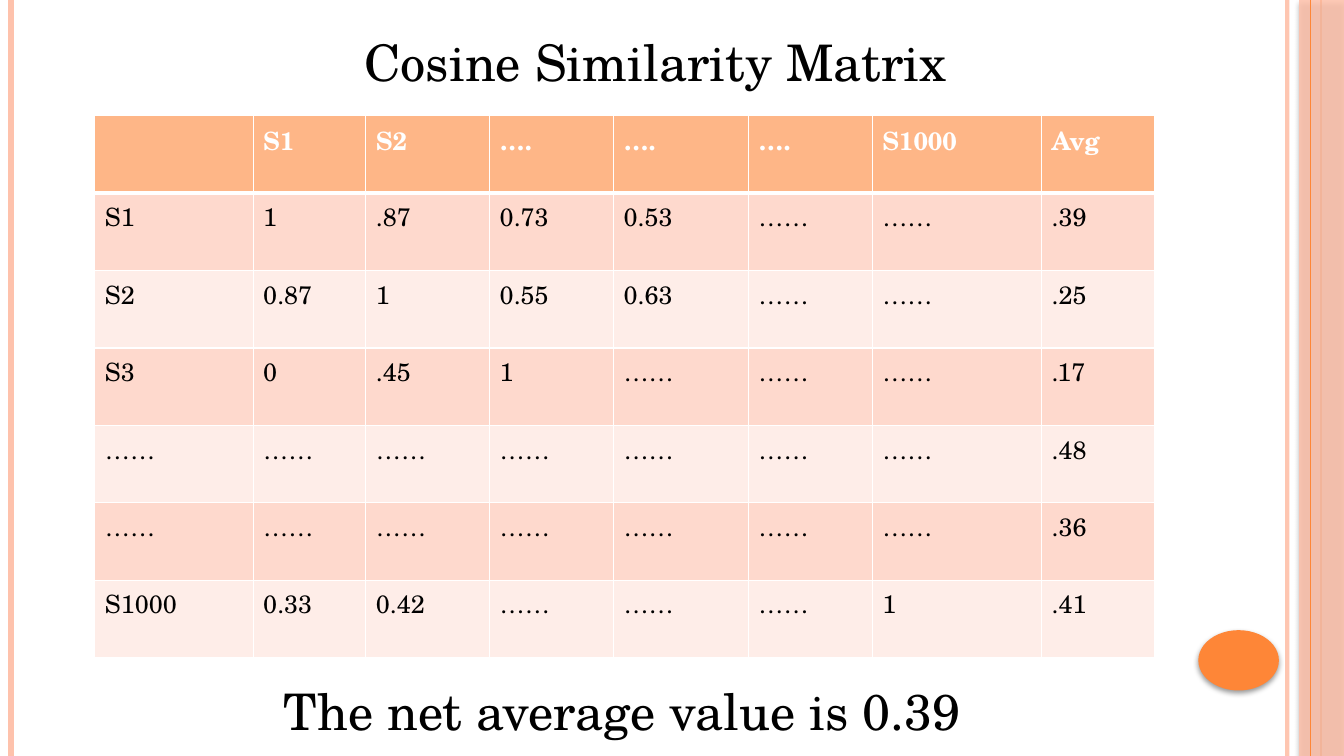
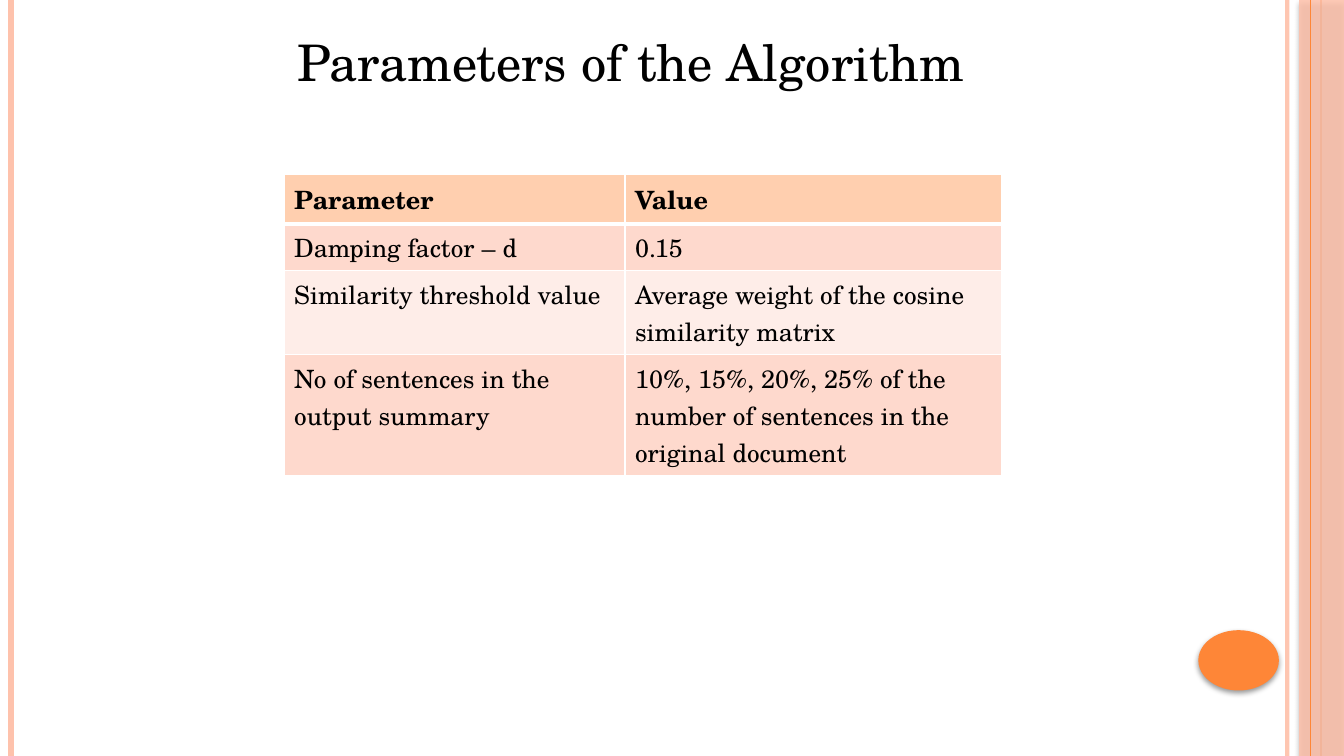
"""Build two slides on cosine similarity and the parameters of the algorithm."""
from lxml import etree
from pptx import Presentation
from pptx.dml.color import RGBColor
from pptx.enum.shapes import MSO_CONNECTOR, MSO_SHAPE
from pptx.enum.text import MSO_ANCHOR, MSO_AUTO_SIZE, PP_ALIGN
from pptx.oxml.ns import qn
from pptx.util import Cm, Pt

STRAIGHT = MSO_CONNECTOR.STRAIGHT
RECTANGLE, OVAL = MSO_SHAPE.RECTANGLE, MSO_SHAPE.OVAL
TOP, BOTTOM = MSO_ANCHOR.TOP, MSO_ANCHOR.BOTTOM
FIT_SHAPE, FIXED = MSO_AUTO_SIZE.SHAPE_TO_FIT_TEXT, MSO_AUTO_SIZE.NONE
CENTER = PP_ALIGN.CENTER

BLACK = RGBColor(0x00, 0x00, 0x00)
WHITE = RGBColor(0xFF, 0xFF, 0xFF)
ORANGE = RGBColor(0xFE, 0x86, 0x37)
PEACH = RGBColor(0xFE, 0xC2, 0xAC)
MATRIX_HEADER = RGBColor(0xFE, 0xB6, 0x87)
PARAMETER_HEADER = RGBColor(0xFF, 0xCF, 0xAF)
ROW_FILLS = (RGBColor(0xFE, 0xD9, 0xCD), RGBColor(0xFE, 0xED, 0xE8))

FONT = "TeX Gyre Schola"
SLIDE_WIDTH, SLIDE_HEIGHT = 33.87, 19.05
THIN, THICK = 0.96, 3

LEFT_RULES = [(32.44, PEACH, 3, 93), (0.28, PEACH, 4.5, 100), (33.3, ORANGE, 1.5, 100)]
SIDE_BAND = (RECTANGLE, (32.74, 0, 1.13, SLIDE_HEIGHT), PEACH, 87)
BAND_RULE = (33.02, ORANGE, 0.75, 100)
NUMBER_DISC = (OVAL, (30.2, 15.88, 2.03, 1.52), ORANGE, 100)

TITLE_FORMAT = {"vertical_anchor": BOTTOM, "auto_size": FIXED,
                "margin_top": Cm(0.13), "margin_bottom": Cm(0.13)}
CAPTION_FORMAT = {"vertical_anchor": TOP, "auto_size": FIT_SHAPE,
                  "margin_top": Cm(0.25), "margin_bottom": Cm(0.25)}

DOTS, SHORT_DOTS = "……", "…."
SLIDES = [
    {
        "title": ("Cosine Similarity Matrix", (1.24, 0.41, 30.56, 2.06)),
        "table": {
            "corner": (2.39, 2.92),
            "columns": [3.99, 2.84, 3.12, 3.12, 3.4, 3.12, 4.27, 2.84],
            "heights": [1.95] * 7,
            "header": (MATRIX_HEADER, WHITE),
            "rows": [
                ["", "S1", "S2", SHORT_DOTS, SHORT_DOTS, SHORT_DOTS, "S1000", "Avg"],
                ["S1", "1", ".87", "0.73", "0.53", DOTS, DOTS, ".39"],
                ["S2", "0.87", "1", "0.55", "0.63", DOTS, DOTS, ".25"],
                ["S3", "0", ".45", "1", DOTS, DOTS, DOTS, ".17"],
                [DOTS] * 7 + [".48"],
                [DOTS] * 7 + [".36"],
                ["S1000", "0.33", "0.42", DOTS, DOTS, DOTS, "1", ".41"],
            ],
        },
        "caption": ("The net average value is 0.39", (3.05, 17.07, 25.27, 1.9)),
    },
    {
        "title": ("Parameters of the Algorithm", (6.05, 0.41, 19.69, 2.06)),
        "table": {
            "corner": (7.16, 4.4),
            "columns": [8.59, 9.5],
            "heights": [1.02, 1.04, 1.78, 2.54],
            "header": (PARAMETER_HEADER, BLACK),
            "rows": [
                ["Parameter", "Value"],
                ["Damping factor – d", "0.15"],
                ["Similarity threshold value",
                 "Average weight of the cosine similarity matrix"],
                ["No of sentences in the output summary",
                 "10%, 15%, 20%, 25% of the number of sentences in the original document"],
            ],
        },
    },
]


def set_values(target, values):
    for name, value in values.items():
        setattr(target, name, value)


def lengths(values):
    return [Cm(value) for value in values]


def add_child(parent, tag, **attributes):
    return etree.SubElement(parent, qn(tag), {key: str(value) for key, value in attributes.items()})


def set_opacity(properties, percent):
    if percent < 100:
        color = next(properties.iter(qn("a:srgbClr")))
        add_child(color, "a:alpha", val=percent * 1000)


def add_rule(page, left, color, width, opacity):
    rule = page.shapes.add_connector(STRAIGHT, *lengths((left, 0, left, SLIDE_HEIGHT)))
    rule.line.color.rgb = color
    rule.line.width = Pt(width)
    properties = rule._element.spPr
    set_opacity(properties, opacity)
    add_child(properties, "a:effectLst")


def add_shadowed_shape(page, kind, place, color, opacity):
    shape = page.shapes.add_shape(kind, *lengths(place))
    shape.shadow.inherit = False
    shape.fill.solid()
    shape.fill.fore_color.rgb = color
    shape.line.fill.background()
    properties = shape._element.spPr
    set_opacity(properties, opacity)
    effects = properties.find(qn("a:effectLst"))
    shadow = add_child(effects, "a:outerShdw", blurRad=Pt(4), dist=Pt(2),
                       dir=90 * 60000, rotWithShape=0)
    black = add_child(shadow, "a:srgbClr", val=BLACK)
    add_child(black, "a:alpha", val=40000)


def add_frame(page):
    for rule in LEFT_RULES:
        add_rule(page, *rule)
    add_shadowed_shape(page, *SIDE_BAND)
    add_rule(page, *BAND_RULE)
    add_shadowed_shape(page, *NUMBER_DISC)


def write(para, text, size, color, bold=False):
    span = para.add_run()
    span.text = text
    set_values(span.font, {"name": FONT, "size": Pt(size), "bold": bold})
    span.font.color.rgb = color


def add_heading(page, text, place, frame_format):
    box = page.shapes.add_textbox(*lengths(place))
    set_values(box.text_frame, {"word_wrap": True, **frame_format})
    para = box.text_frame.paragraphs[0]
    set_values(para, {"alignment": CENTER, "line_spacing": 0.9})
    write(para, text, 36, BLACK)


def set_borders(cell, widths):
    properties = cell._tc.get_or_add_tcPr()
    for index, (side, width) in enumerate(widths.items()):
        border = add_child(properties, f"a:ln{side}", w=Pt(width))
        add_child(add_child(border, "a:solidFill"), "a:srgbClr", val=WHITE)
        properties.insert(index, border)


def add_grid(page, corner, columns, heights, header, rows):
    place = lengths((*corner, sum(columns), sum(heights)))
    table = page.shapes.add_table(len(rows), len(columns), *place).table
    for column, width in zip(table.columns, columns):
        column.width = Cm(width)
    for number, (row, height, texts) in enumerate(zip(table.rows, heights, rows)):
        row.height = Cm(height)
        is_header = number == 0
        fill, color = header if is_header else (ROW_FILLS[(number - 1) % 2], BLACK)
        borders = {"L": THIN, "R": THIN, "T": THICK if number == 1 else THIN,
                   "B": THICK if is_header else THIN}
        for cell, text in zip(row.cells, texts):
            cell.fill.solid()
            cell.fill.fore_color.rgb = fill
            set_borders(cell, borders)
            if text:
                write(cell.text_frame.paragraphs[0], text, 18, color, is_header)


def main():
    deck = Presentation()
    deck.slide_width, deck.slide_height = lengths((SLIDE_WIDTH, SLIDE_HEIGHT))
    for content in SLIDES:
        page = deck.slides.add_slide(deck.slide_layouts[6])
        add_frame(page)
        add_heading(page, *content["title"], TITLE_FORMAT)
        add_grid(page, **content["table"])
        if "caption" in content:
            add_heading(page, *content["caption"], CAPTION_FORMAT)
    deck.save("out.pptx")


if __name__ == "__main__":
    main()
